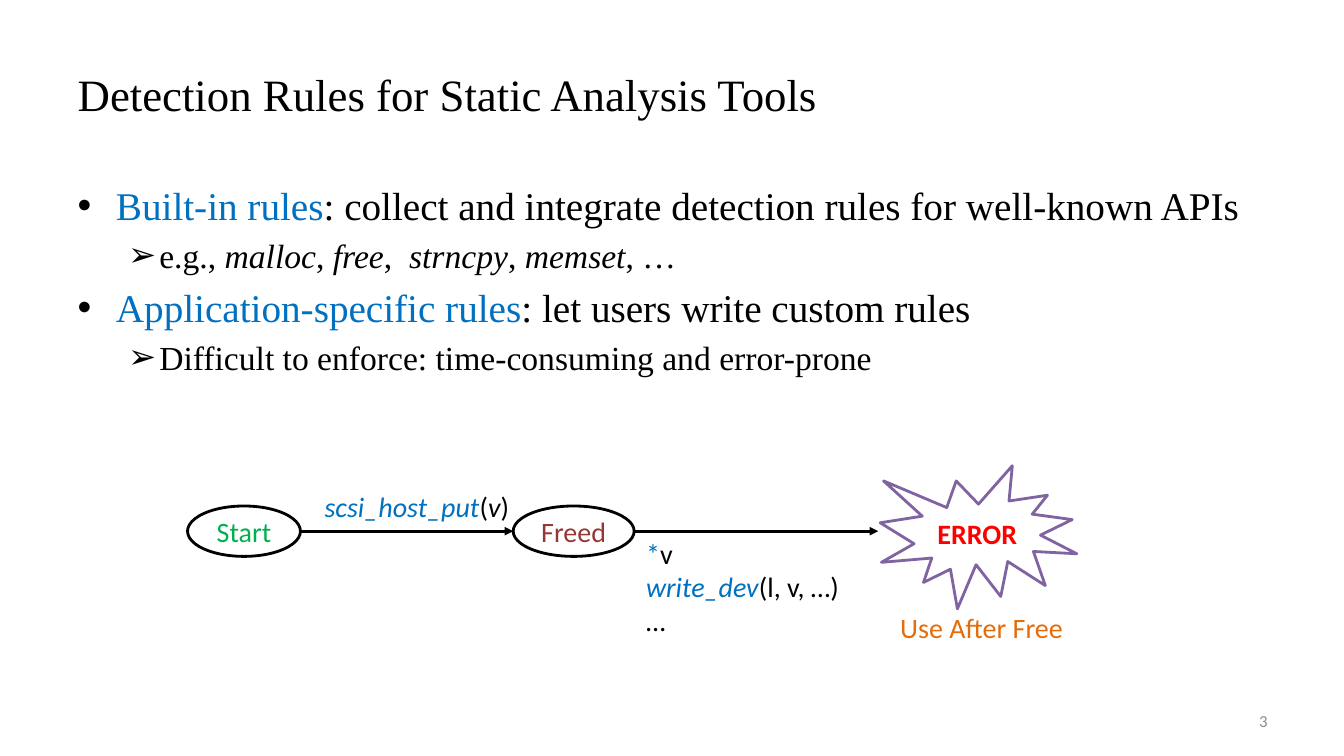
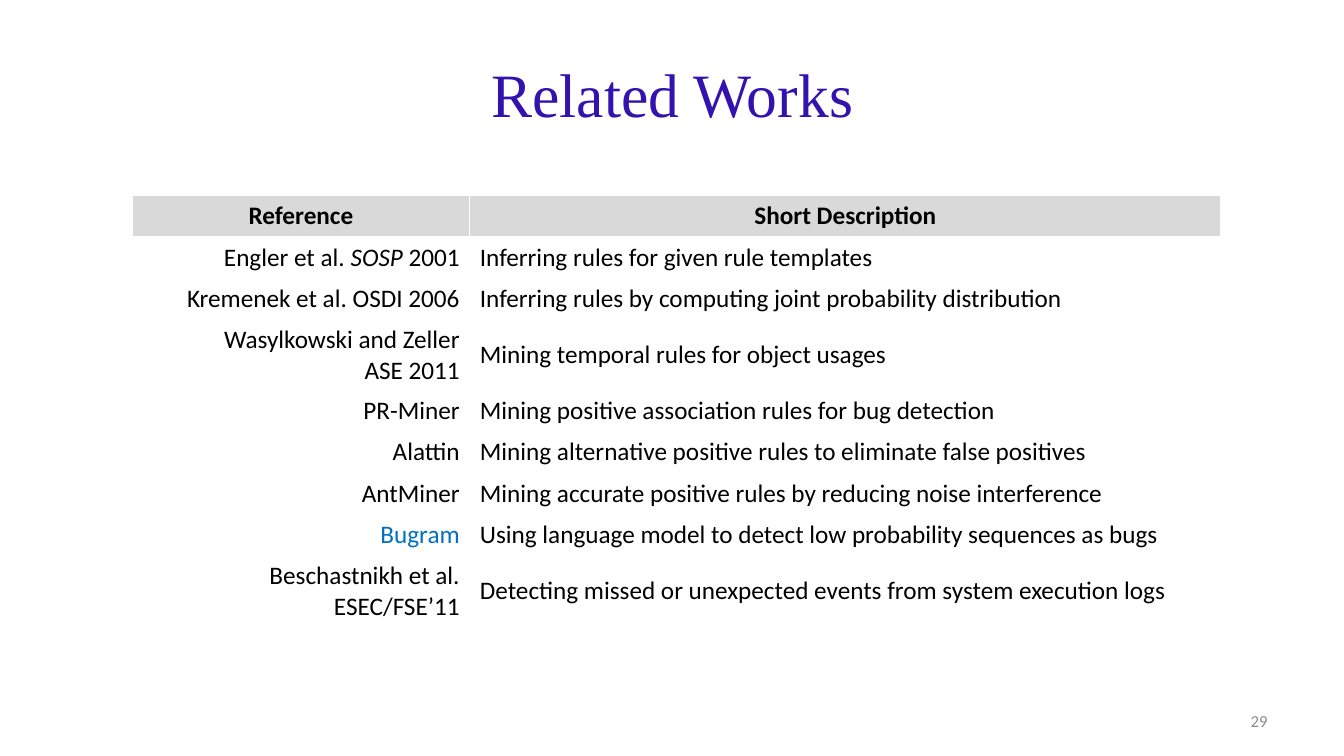
from lxml import etree
from pptx import Presentation
from pptx.dml.color import RGBColor
from pptx.enum.shapes import MSO_CONNECTOR, MSO_SHAPE
from pptx.enum.text import MSO_ANCHOR, MSO_AUTO_SIZE, PP_ALIGN
from pptx.oxml.ns import qn
from pptx.util import Inches, Pt

LEFT, CENTER, RIGHT, JUSTIFY = PP_ALIGN.LEFT, PP_ALIGN.CENTER, PP_ALIGN.RIGHT, PP_ALIGN.JUSTIFY
TOP, MIDDLE = MSO_ANCHOR.TOP, MSO_ANCHOR.MIDDLE
NO_FIT = MSO_AUTO_SIZE.NONE
STRAIGHT = MSO_CONNECTOR.STRAIGHT
ELLIPSE, BURST = MSO_SHAPE.OVAL, MSO_SHAPE.EXPLOSION1

SERIF, SANS = "Times New Roman", "Calibri"
COLORS = {
    "black": "000000", "white": "FFFFFF", "blue": "0070C0", "indigo": "3312AE",
    "gray": "8C8C8C", "header": "D9D9D9", "green": "00B050", "maroon": "953735",
    "red": "FF0000", "orange": "E46C0A", "purple": "8064A2",
}
TITLE_BOX = (0.67, 0.3, 12, 1.25)
BODY_BOX = (0.67, 1.75, 12.3, 4.95)
NUMBER_BOX = (9.56, 6.95, 3.11, 0.4)
FLOW_Y = 5.27
NODE_HEIGHT = 0.5
BULLETS = [("•", 0.38, -0.38, 28), ("➢", 0.81, -0.31, 24)]

BLUE = {"color": "blue"}
ITALIC = {"italic": True}
RULES = [
    (0, [("Built-in rules", BLUE),
         ": collect and integrate detection rules for well-known APIs"]),
    (1, ["e.g., ", ("malloc", ITALIC), ", ", ("free", ITALIC), ",  ",
         ("strncpy", ITALIC), ", ", ("memset", ITALIC), ", …"]),
    (0, [("Application-specific rules", BLUE), ": let users write custom rules"]),
    (1, ["Difficult to enforce: time-consuming and error-prone"]),
]
WORKS = [
    ([["Engler et al. ", ("SOSP", ITALIC), " 2001"]],
     "Inferring rules for given rule templates"),
    ([["Kremenek et al. OSDI 2006"]],
     "Inferring rules by computing joint probability distribution"),
    ([["Wasylkowski and Zeller"], ["ASE 2011"]],
     "Mining temporal rules for object usages"),
    ([["PR-Miner"]], "Mining positive association rules for bug detection"),
    ([["Alattin"]], "Mining alternative positive rules to eliminate false positives"),
    ([["AntMiner"]], "Mining accurate positive rules by reducing noise interference"),
    ([[("Bugram", BLUE)]],
     "Using language model to detect low probability sequences as bugs"),
    ([["Beschastnikh et al. ESEC/FSE’11"]],
     "Detecting missed or unexpected events from system execution logs"),
]


def rgb(name):
    return RGBColor.from_string(COLORS[name])


def box(values):
    return [Inches(v) for v in values]


def place(sp, values):
    sp.left, sp.top, sp.width, sp.height = box(values)


def add_run(p, text, size=20, font=SANS, color="black", bold=False, italic=False):
    r = p.add_run()
    r.text = text
    r.font.size = Pt(size)
    r.font.name = font
    r.font.bold = bold
    r.font.italic = italic
    r.font.color.rgb = rgb(color)


def write(tf, paragraphs, align=LEFT, **style):
    if isinstance(paragraphs, str):
        paragraphs = [[paragraphs]]
    for i, runs in enumerate(paragraphs):
        p = tf.add_paragraph() if i else tf.paragraphs[0]
        p.alignment = align
        for run in runs:
            text, extra = (run, {}) if isinstance(run, str) else run
            add_run(p, text, **{**style, **extra})


def add_label(slide, values, paragraphs, anchor=TOP, wrap=False, **style):
    tf = slide.shapes.add_textbox(*box(values)).text_frame
    tf.word_wrap = wrap
    tf.vertical_anchor = anchor
    write(tf, paragraphs, **style)


def new_slide(prs, layout, title, number, **style):
    slide = prs.slides.add_slide(prs.slide_layouts[layout])
    sp = slide.shapes.title
    place(sp, TITLE_BOX)
    sp.text_frame.auto_size = NO_FIT
    sp.text_frame.vertical_anchor = MIDDLE
    write(sp.text_frame, title, font=SERIF, **style)
    add_label(slide, NUMBER_BOX, str(number), anchor=MIDDLE, wrap=True,
              align=RIGHT, size=12, color="gray")
    return slide


def set_bullet(p, char, margin, indent):
    pPr = p._p.get_or_add_pPr()
    pPr.set("marL", str(Inches(margin)))
    pPr.set("indent", str(Inches(indent)))
    clr = etree.SubElement(pPr, qn("a:buClr"))
    etree.SubElement(clr, qn("a:srgbClr"), val=COLORS["black"])
    etree.SubElement(pPr, qn("a:buFont"), typeface="Arial")
    etree.SubElement(pPr, qn("a:buChar"), char=char)


def fill_body(sp, items):
    place(sp, BODY_BOX)
    tf = sp.text_frame
    tf.auto_size = NO_FIT
    write(tf, [runs for _, runs in items], align=JUSTIFY, font=SERIF)
    for p, (level, _) in zip(tf.paragraphs, items):
        char, margin, indent, size = BULLETS[level]
        p.level = level
        set_bullet(p, char, margin, indent)
        for r in p.runs:
            r.font.size = Pt(size)


def add_node(slide, kind, values, text, line="black", **style):
    sp = slide.shapes.add_shape(kind, *box(values))
    sp.shadow.inherit = False
    sp.fill.solid()
    sp.fill.fore_color.rgb = rgb("white")
    sp.line.color.rgb = rgb(line)
    sp.line.width = Pt(2)
    sp.text_frame.word_wrap = False
    sp.text_frame.vertical_anchor = MIDDLE
    write(sp.text_frame, text, align=CENTER, **style)


def add_arrow(slide, start, end):
    line = slide.shapes.add_connector(STRAIGHT, *box((start, FLOW_Y, end, FLOW_Y)))
    line.line.color.rgb = rgb("black")
    line.line.width = Pt(2)
    etree.SubElement(line.line._get_or_add_ln(), qn("a:tailEnd"), type="triangle")
    etree.SubElement(line._element.spPr, qn("a:effectLst"))


def add_flow(slide):
    top = FLOW_Y - NODE_HEIGHT / 2
    for text, left, width, color in [("Start", 1.86, 1.12, "green"),
                                     ("Freed", 5.09, 1.2, "maroon")]:
        add_node(slide, ELLIPSE, (left, top, width, NODE_HEIGHT), text, color=color)
    add_node(slide, BURST, (8.73, 4.62, 1.95, 1.42), "ERROR",
             line="purple", color="red", bold=True)
    add_arrow(slide, 2.98, 5.09)
    add_arrow(slide, 6.29, 8.71)
    call = {**BLUE, **ITALIC}
    add_label(slide, (3.12, 4.81, 2.05, 0.44),
              [[("scsi_host_put", call), "(", ("v", ITALIC), ")"]])
    add_label(slide, (6.31, FLOW_Y, 2.13, 1.11),
              [[("*", BLUE), "v"], [("write_dev", call), "(l, v, …)"], ["…"]])
    add_label(slide, (8.83, 6.01, 1.84, 0.44), "Use After Free", color="orange")


def fill_cell(cell, paragraphs, fill=None, anchor=MIDDLE, **style):
    if fill:
        cell.fill.solid()
        cell.fill.fore_color.rgb = rgb(fill)
    else:
        cell.fill.background()
    cell.vertical_anchor = anchor
    write(cell.text_frame, paragraphs, size=18, **style)


def add_works_table(slide):
    rows = len(WORKS) + 1
    height = 0.41
    table = slide.shapes.add_table(
        rows, 2, *box((1.31, 1.94, 10.8, rows * height))).table
    table.horz_banding = False
    for column, width in zip(table.columns, (3.35, 7.45)):
        column.width = Inches(width)
    for row in table.rows:
        row.height = Inches(height)
    for i, heading in enumerate(("Reference", "Short Description")):
        fill_cell(table.cell(0, i), heading, fill="header", anchor=TOP,
                  align=CENTER, bold=True)
    for i, (reference, description) in enumerate(WORKS, 1):
        fill_cell(table.cell(i, 0), reference, align=RIGHT)
        fill_cell(table.cell(i, 1), description)


def main():
    prs = Presentation()
    prs.slide_width, prs.slide_height = box((13.33, 7.5))

    rules = new_slide(prs, 1, "Detection Rules for Static Analysis Tools", 3, size=32)
    fill_body(rules.placeholders[1], RULES)
    add_flow(rules)

    works = new_slide(prs, 5, "Related Works", 29,
                      size=44, color="indigo", align=CENTER)
    add_works_table(works)

    prs.save("out.pptx")


if __name__ == "__main__":
    main()
